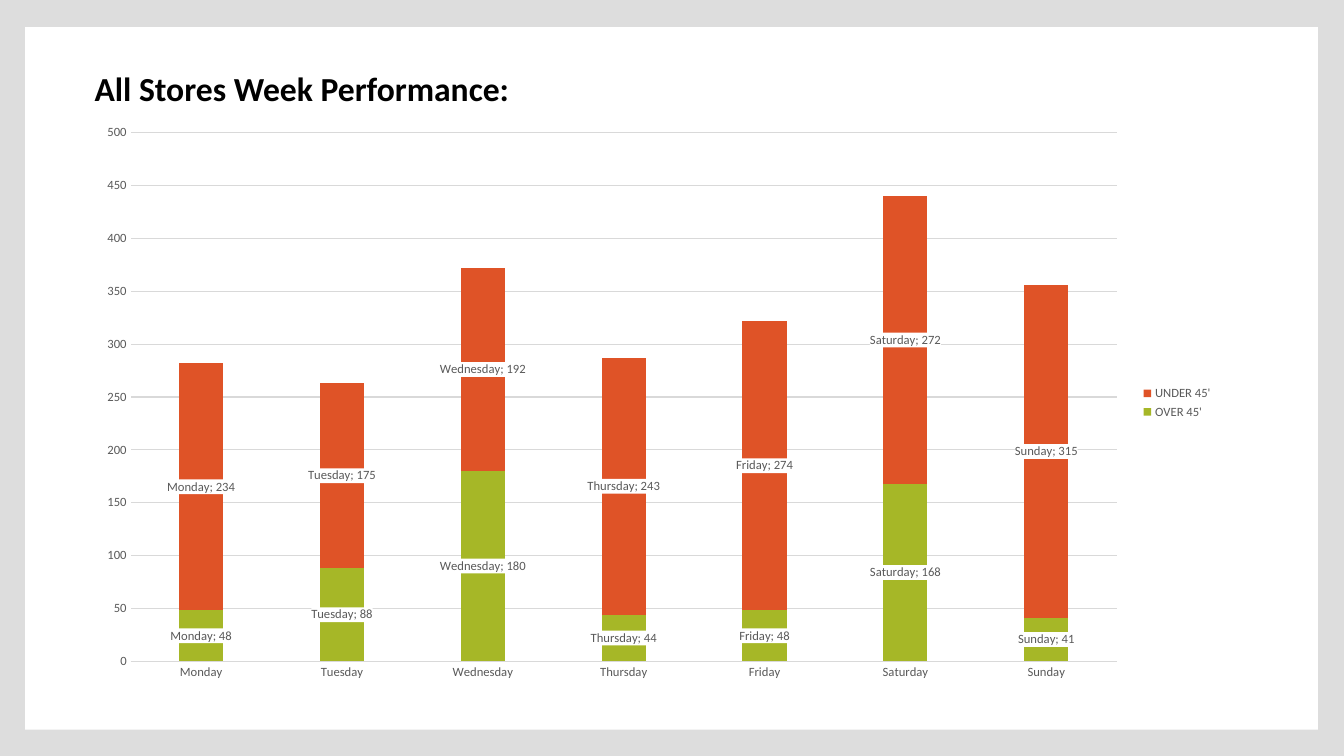
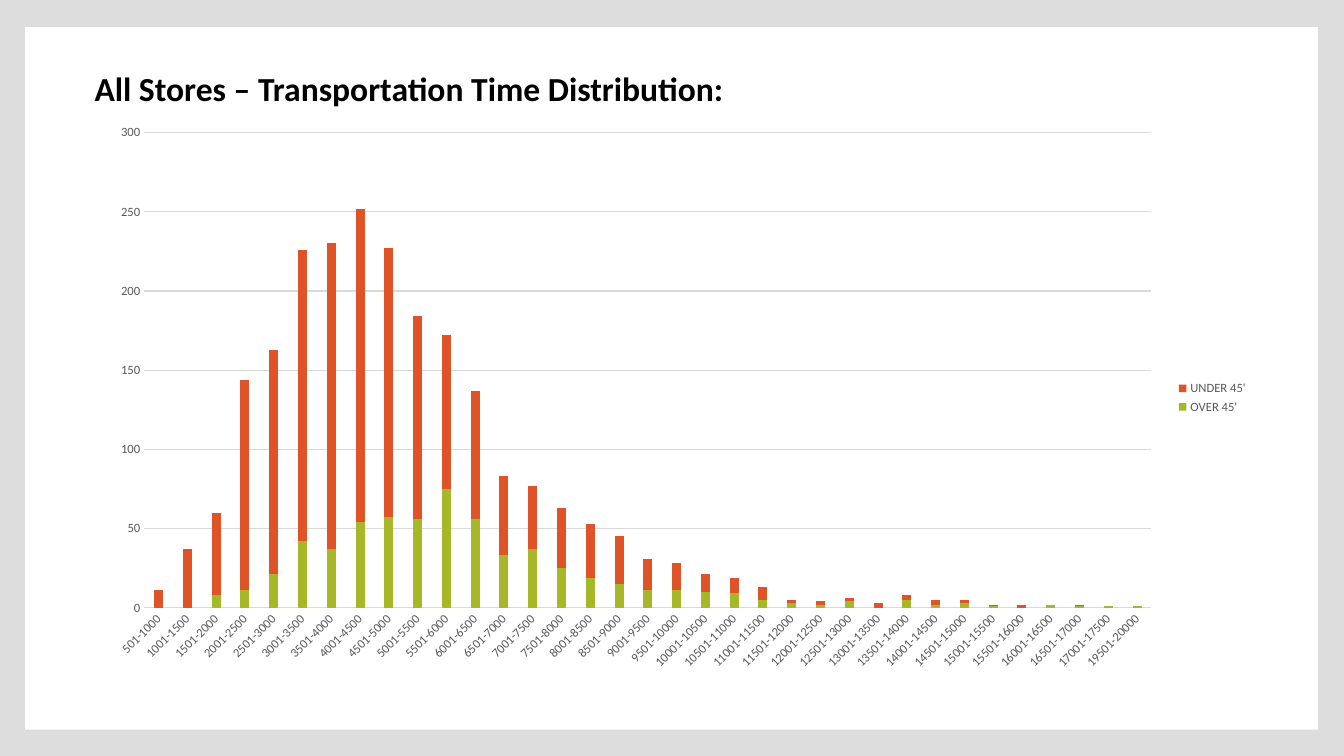
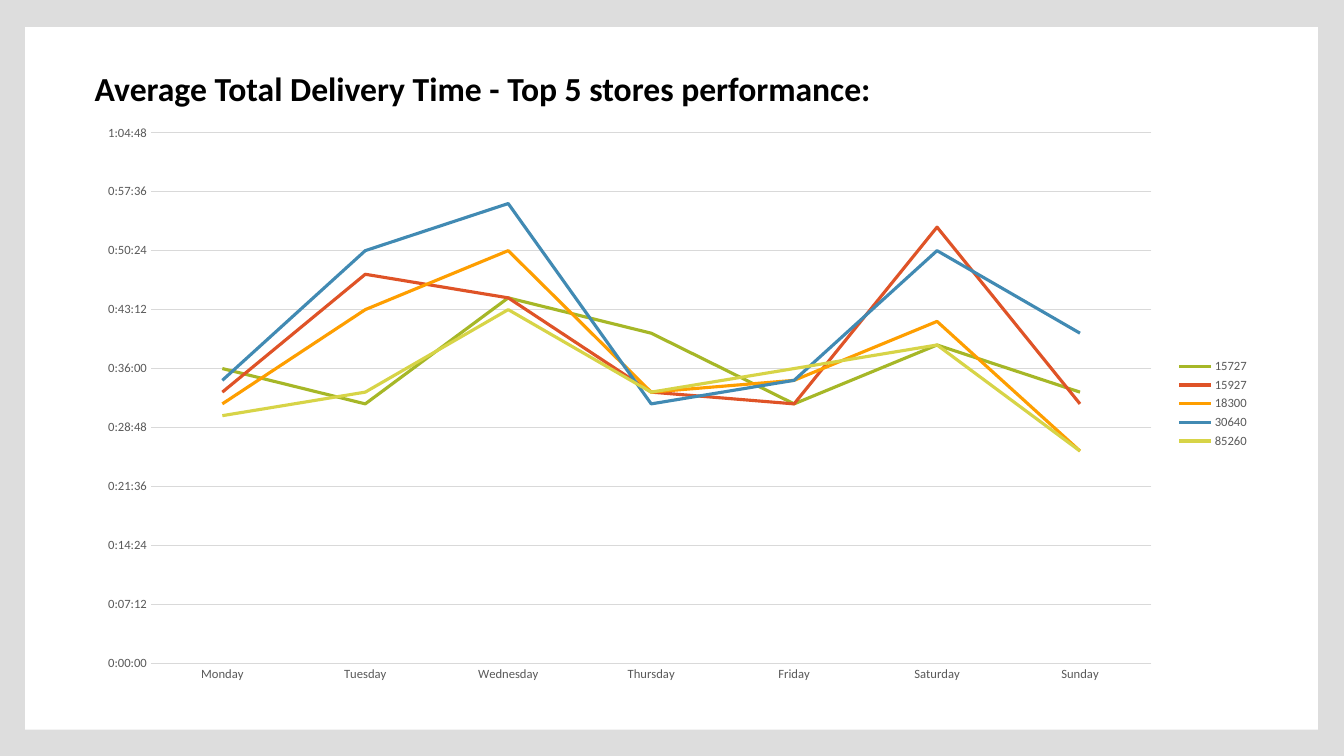
import pptx
import pptx.chart.data
import pptx.dml.color
import pptx.enum.chart
import pptx.enum.shapes
import pptx.enum.text
import pptx.util
from lxml import etree

Inches, Pt = pptx.util.Inches, pptx.util.Pt
RGB = pptx.dml.color.RGBColor
Kind = pptx.enum.chart.XL_CHART_TYPE
Tick = pptx.enum.chart.XL_TICK_MARK

GREY = RGB(0xDD, 0xDD, 0xDD)
WHITE = RGB(0xFF, 0xFF, 0xFF)
BLACK = RGB(0x00, 0x00, 0x00)
TEXT = RGB(0x59, 0x59, 0x59)
RULE = RGB(0xD9, 0xD9, 0xD9)
GREEN = RGB(0xA6, 0xB7, 0x27)
RED = RGB(0xDF, 0x53, 0x27)
AMBER = RGB(0xFE, 0x9E, 0x00)
BLUE = RGB(0x41, 0x8A, 0xB3)
LIME = RGB(0xD7, 0xD4, 0x47)
HUES = [GREEN, RED, AMBER, BLUE, LIME]

FACE = "Calibri"
LEFT = 0.84
CHART_TOP = 1.13
HEAD = {"name": FACE, "size": Pt(24), "bold": True}
BASE = {"name": FACE, "size": Pt(10)}
SMALL = {"name": FACE, "size": Pt(9)}

DAYS = ["Monday", "Tuesday", "Wednesday", "Thursday", "Friday", "Saturday", "Sunday"]
# Spans of 500 seconds; the ones between 17500 and 19500 have no trips.
SPANS = [f"{low}-{low + 499}" for low in [*range(501, 17002, 500), 19501]]

WEEK = {
    "OVER 45'": [48, 88, 180, 44, 48, 168, 41],
    "UNDER 45'": [234, 175, 192, 243, 274, 272, 315],
}
TRIPS = {
    "OVER 45'": [None, None, 8, 11, 21, 42, 37, 54, 57, 56, 75, 56, 33, 37, 25, 19, 15, 11,
                 11, 10, 9, 5, 3, 2, 4, None, 5, 2, 3, 1, None, 2, 1, 1, 1],
    "UNDER 45'": [11, 37, 52, 133, 142, 184, 193, 198, 170, 128, 97, 81, 50, 40, 38, 34, 30, 20,
                  17, 11, 10, 8, 2, 2, 2, 3, 3, 3, 2, 1, 2, None, 1, None, None],
}
# Times as parts of a day.
STORES = {
    "15727": [0.025, 0.022, 0.031, 0.028, 0.022, 0.027, 0.023],
    "15927": [0.023, 0.033, 0.031, 0.023, 0.022, 0.037, 0.022],
    "18300": [0.022, 0.03, 0.035, 0.023, 0.024, 0.029, 0.018],
    "30640": [0.024, 0.035, 0.039, 0.022, 0.024, 0.035, 0.028],
    "85260": [0.021, 0.023, 0.03, 0.023, 0.025, 0.027, 0.018],
}


def style(font, look, hue):
    for key, value in look.items():
        setattr(font, key, value)
    font.color.rgb = hue


def set_line(line, hue, width):
    line.color.rgb = hue
    line.width = Pt(width)


def add_panel(slide, layout):
    """Draw the white panel, then move it to the layout that all slides use."""
    box = [Inches(n) for n in (0.25, 0.27, 12.82, 6.97)]
    panel = slide.shapes.add_shape(pptx.enum.shapes.MSO_SHAPE.RECTANGLE, *box)
    panel.shadow.inherit = False
    panel.fill.solid()
    panel.fill.fore_color.rgb = WHITE
    panel.line.fill.background()
    layout.shapes.element.insert(2, panel.element)


def add_title(slide, text, width):
    box = slide.shapes.add_textbox(Inches(LEFT), Inches(0.62), Inches(width), Inches(0.5))
    frame = box.text_frame
    frame.word_wrap = False
    frame.auto_size = pptx.enum.text.MSO_AUTO_SIZE.SHAPE_TO_FIT_TEXT
    par = frame.paragraphs[0]
    par.space_after = Pt(6)
    run = par.add_run()
    run.text = text
    style(run.font, HEAD, BLACK)


def style_axes(chart, top, step, form):
    cat, val = chart.category_axis, chart.value_axis
    for axis in (cat, val):
        axis.major_tick_mark = axis.minor_tick_mark = Tick.NONE
        style(axis.tick_labels.font, SMALL, TEXT)
    cat.has_major_gridlines = False
    set_line(cat.format.line, RULE, 0.75)
    val.has_major_gridlines = True
    set_line(val.major_gridlines.format.line, RULE, 0.75)
    val.format.line.fill.background()
    val.minimum_scale, val.maximum_scale, val.major_unit = 0, top, step
    val.tick_labels.number_format = form
    val.tick_labels.number_format_is_linked = False


def add_chart(slide, kind, box, cats, rows, top, step, form="General"):
    data = pptx.chart.data.CategoryChartData(number_format=form)
    data.categories = cats
    for name, vals in rows.items():
        data.add_series(name, vals)
    chart = slide.shapes.add_chart(kind, *[Inches(n) for n in box], data).chart
    chart.has_title = False
    style(chart.font, BASE, BLACK)
    style_axes(chart, top, step, form)
    chart.has_legend = True
    chart.legend.position = pptx.enum.chart.XL_LEGEND_POSITION.RIGHT
    chart.legend.include_in_layout = False
    style(chart.legend.font, SMALL, TEXT)
    return chart


def add_stack(slide, *args):
    chart = add_chart(slide, Kind.COLUMN_STACKED, *args)
    plot = chart.plots[0]
    plot.vary_by_categories = False
    plot.gap_width, plot.overlap = 219, 100
    for row, hue in zip(plot.series, HUES):
        row.format.fill.solid()
        row.format.fill.fore_color.rgb = hue
    return chart


def add_lines(slide, *args):
    chart = add_chart(slide, Kind.LINE, *args)
    chart.plots[0].vary_by_categories = False
    for row, hue in zip(chart.plots[0].series, HUES):
        row.smooth = False
        row.marker.style = pptx.enum.chart.XL_MARKER_STYLE.NONE
        set_line(row.format.line, hue, 2.25)


def add_labels(chart):
    """Label each bar with its category and value on a white ground."""
    for row in chart.plots[0].series:
        labels = row.data_labels
        labels.show_value = labels.show_category_name = True
        labels.position = pptx.enum.chart.XL_LABEL_POSITION.CENTER
        style(labels.font, SMALL, TEXT)
    qn = pptx.oxml.ns.qn
    for node in chart.element.xpath(".//c:ser/c:dLbls"):
        ground = etree.Element(qn("c:spPr"))
        fill = etree.SubElement(ground, qn("a:solidFill"))
        etree.SubElement(fill, qn("a:srgbClr"), val=str(WHITE))
        node.find(qn("c:txPr")).addprevious(ground)
        mark = etree.Element(qn("c:separator"))
        mark.text = "; "
        node.find(qn("c:showBubbleSize")).addnext(mark)


def tilt(chart, angle):
    """Turn the category labels by an angle in degrees."""
    for body in chart.element.xpath(".//c:catAx/c:txPr/a:bodyPr"):
        body.set("rot", str(angle * 60000))
        body.set("vert", "horz")


def main():
    deck = pptx.Presentation()
    deck.slide_width, deck.slide_height = Inches(13.33), Inches(7.5)
    back = deck.slide_master.background.fill
    back.solid()
    back.fore_color.rgb = GREY
    blank = deck.slide_layouts[6]
    week, trips, stores = [deck.slides.add_slide(blank) for _ in range(3)]
    add_panel(week, blank)

    add_title(week, "All Stores Week Performance:", 4.48)
    add_labels(add_stack(week, (LEFT, CHART_TOP, 11.29, 5.73), DAYS, WEEK, 500, 50))

    add_title(trips, "All Stores – Transportation Time Distribution:", 6.74)
    tilt(add_stack(trips, (0.95, CHART_TOP, 11.53, 5.63), SPANS, TRIPS, 300, 50), -45)

    add_title(stores, "Average Total Delivery Time - Top 5 stores performance:", 8.19)
    add_lines(stores, (LEFT, CHART_TOP, 11.65, 5.75), DAYS, STORES, 0.045, 0.005, "h:mm:ss")

    deck.save("out.pptx")


if __name__ == "__main__":
    main()
